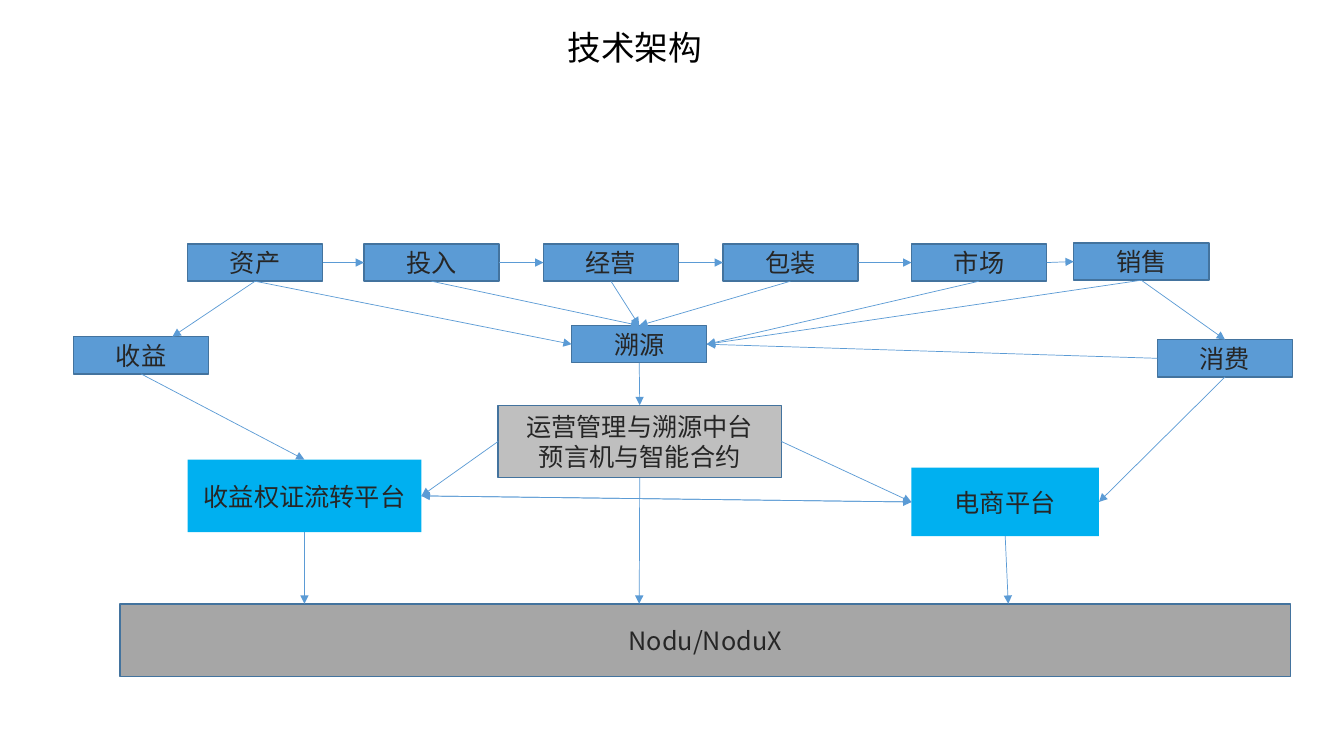
from pptx import Presentation
from pptx.dml.color import RGBColor
from pptx.enum.shapes import MSO_CONNECTOR, MSO_SHAPE
from pptx.enum.text import MSO_ANCHOR, MSO_AUTO_SIZE, PP_ALIGN
from pptx.oxml.ns import qn
from pptx.util import Inches, Pt
from lxml import etree

RECTANGLE = MSO_SHAPE.RECTANGLE
STRAIGHT = MSO_CONNECTOR.STRAIGHT
MIDDLE, TOP_ANCHOR = MSO_ANCHOR.MIDDLE, MSO_ANCHOR.TOP
NO_AUTOFIT = MSO_AUTO_SIZE.NONE
CENTER, LEFT_ALIGN = PP_ALIGN.CENTER, PP_ALIGN.LEFT

FONT = "Noto Sans CJK SC"
BLUE, CYAN, LIGHT_GRAY, GRAY = "5B9BD5", "00B0F0", "BFBFBF", "A6A6A6"
OUTLINE, TEXT, BLACK = "43739E", "262626", "000000"
STEP_WIDTH, STEP_HEIGHT = 1.34, 0.37
TOP, LEFT, BOTTOM, RIGHT = range(4)

CHAIN = [("资产", 0, 0.01), ("投入", 1.75, 0.01), ("经营", 3.53, 0.01),
         ("包装", 5.31, 0.01), ("市场", 7.18, 0.01), ("销售", 8.79, 0)]
OUTCOMES = [("收益", 0, 0.11), ("溯源", 4.94, 0), ("消费", 10.75, 0.14)]
PLATFORMS = [
    ("收益权证流转平台", (0, 0.54, 2.32, 0.72), CYAN, None),
    ("运营管理与溯源中台\n预言机与智能合约", (3.08, 0, 2.81, 0.72), LIGHT_GRAY, OUTLINE),
    ("电商平台", (7.18, 0.62, 1.86, 0.68), CYAN, None),
]
LINKS = [
    ("收益", BOTTOM, "收益权证流转平台", TOP),
    ("销售", BOTTOM, "消费", TOP),
    ("消费", BOTTOM, "电商平台", RIGHT),
    ("消费", LEFT, "溯源", RIGHT),
    ("销售", BOTTOM, "溯源", RIGHT),
    ("市场", BOTTOM, "溯源", RIGHT),
    ("包装", BOTTOM, "溯源", TOP),
    ("经营", BOTTOM, "溯源", TOP),
    ("投入", BOTTOM, "溯源", TOP),
    ("资产", BOTTOM, "溯源", LEFT),
    ("溯源", BOTTOM, PLATFORMS[1][0], TOP),
    ("电商平台", LEFT, "收益权证流转平台", RIGHT),
    ("收益权证流转平台", RIGHT, "电商平台", LEFT),
    (PLATFORMS[1][0], LEFT, "收益权证流转平台", RIGHT),
    (PLATFORMS[1][0], RIGHT, "电商平台", LEFT),
]
DROPS = [("资产", 1.71, 3.34), ("收益权证流转平台", 3.02, 5.99),
         (PLATFORMS[1][0], 6.34, 5.99), ("电商平台", 10, 5.99)]


def color(value):
    return RGBColor.from_string(value)


def format_text(text_frame, text, size, text_color, alignment):
    text_frame.text = text
    text_frame.word_wrap = True
    for paragraph in text_frame.paragraphs:
        paragraph.alignment = alignment
        font = paragraph.font
        font.size = Pt(size)
        font.color.rgb = color(text_color)
        font.name = FONT
        properties = paragraph._p.pPr.find(qn("a:defRPr"))
        etree.SubElement(properties, qn("a:ea"), typeface=FONT)


def add_title(slide, box):
    title = slide.shapes.title
    title.left, title.top, title.width, title.height = map(Inches, box)
    format_text(title.text_frame, "技术架构", 24, BLACK, LEFT_ALIGN)
    title.text_frame.vertical_anchor = TOP_ANCHOR
    title.text_frame.auto_size = NO_AUTOFIT


def add_box(slide, text, box, fill, outline=OUTLINE):
    shape = slide.shapes.add_shape(RECTANGLE, *map(Inches, box))
    shape.shadow.inherit = False
    shape.fill.solid()
    shape.fill.fore_color.rgb = color(fill)
    if outline:
        shape.line.color.rgb = color(outline)
        shape.line.width = Pt(1)
    else:
        shape.line.fill.background()
    format_text(shape.text_frame, text, 18, TEXT, CENTER)
    shape.text_frame.vertical_anchor = MIDDLE
    return shape


def add_steps(slide, left, top, steps):
    return {
        text: add_box(slide, text, (left + x, top + y, STEP_WIDTH, STEP_HEIGHT), BLUE)
        for text, x, y in steps
    }


def add_platforms(slide, left, top):
    return {
        text: add_box(slide, text, (left + x, top + y, width, height), fill, outline)
        for text, (x, y, width, height), fill, outline in PLATFORMS
    }


def add_arrow(slide, source, source_site, end=(0, 0), target=None, target_site=None):
    connector = slide.shapes.add_connector(STRAIGHT, 0, 0, *map(Inches, end))
    connector.begin_connect(source, source_site)
    if target:
        connector.end_connect(target, target_site)
    connector.line.color.rgb = color(BLUE)
    connector.line.width = Pt(0.5)
    etree.SubElement(connector.line._get_or_add_ln(), qn("a:tailEnd"), type="triangle")
    etree.SubElement(connector._element.spPr, qn("a:effectLst"))


def add_arrows(slide, shapes):
    names = [name for name, _, _ in CHAIN]
    chain_links = [(a, RIGHT, b, LEFT) for a, b in zip(names, names[1:])]
    for source, source_site, target, target_site in chain_links + LINKS:
        add_arrow(slide, shapes[source], source_site,
                  target=shapes[target], target_site=target_site)
    for source, x, y in DROPS:
        add_arrow(slide, shapes[source], BOTTOM, end=(x, y))


def main():
    presentation = Presentation()
    presentation.slide_width = Inches(13.33)
    presentation.slide_height = Inches(7.5)
    slide = presentation.slides.add_slide(presentation.slide_layouts[5])
    add_title(slide, (5.53, 0.22, 3.51, 0.91))
    add_box(slide, "Nodu/NoduX", (1.19, 5.99, 11.61, 0.72), GRAY)
    shapes = {
        **add_steps(slide, 1.86, 2.41, CHAIN),
        **add_steps(slide, 0.73, 3.23, OUTCOMES),
        **add_platforms(slide, 1.86, 4.02),
    }
    add_arrows(slide, shapes)
    presentation.save("out.pptx")


if __name__ == "__main__":
    main()
